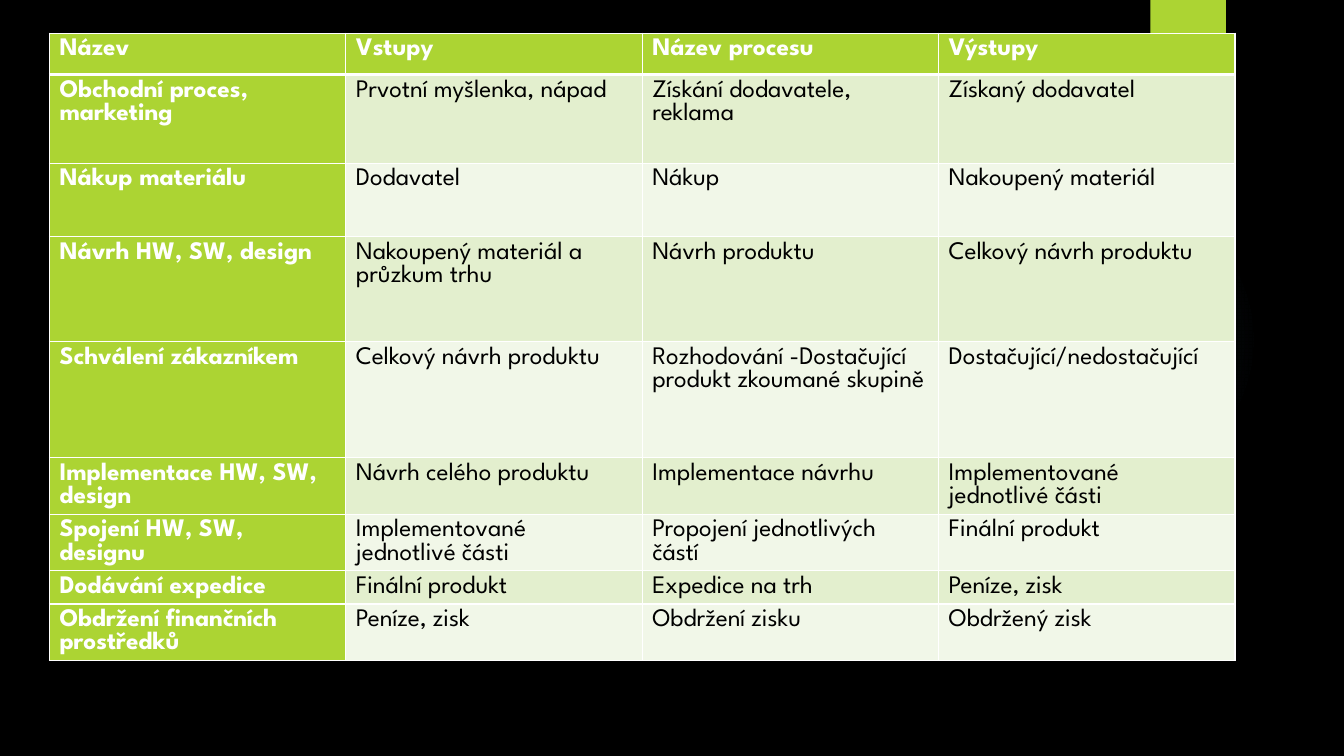
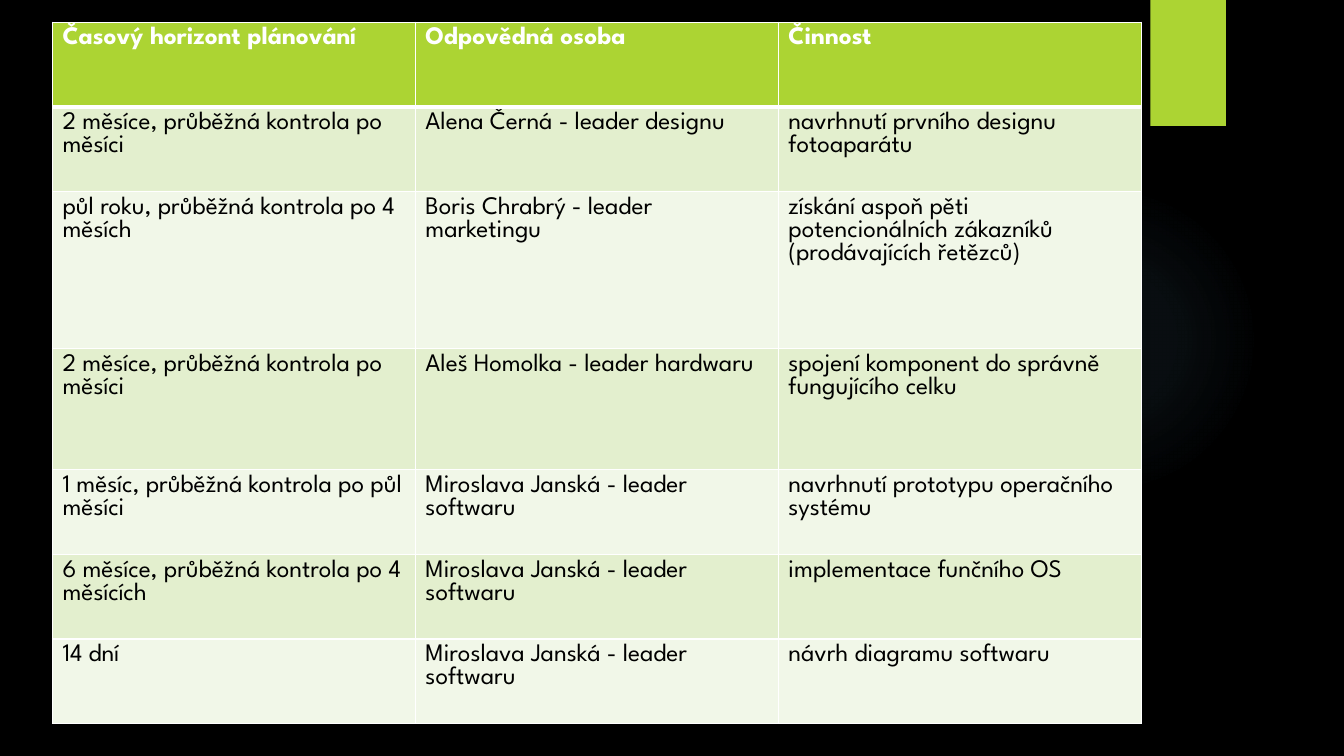
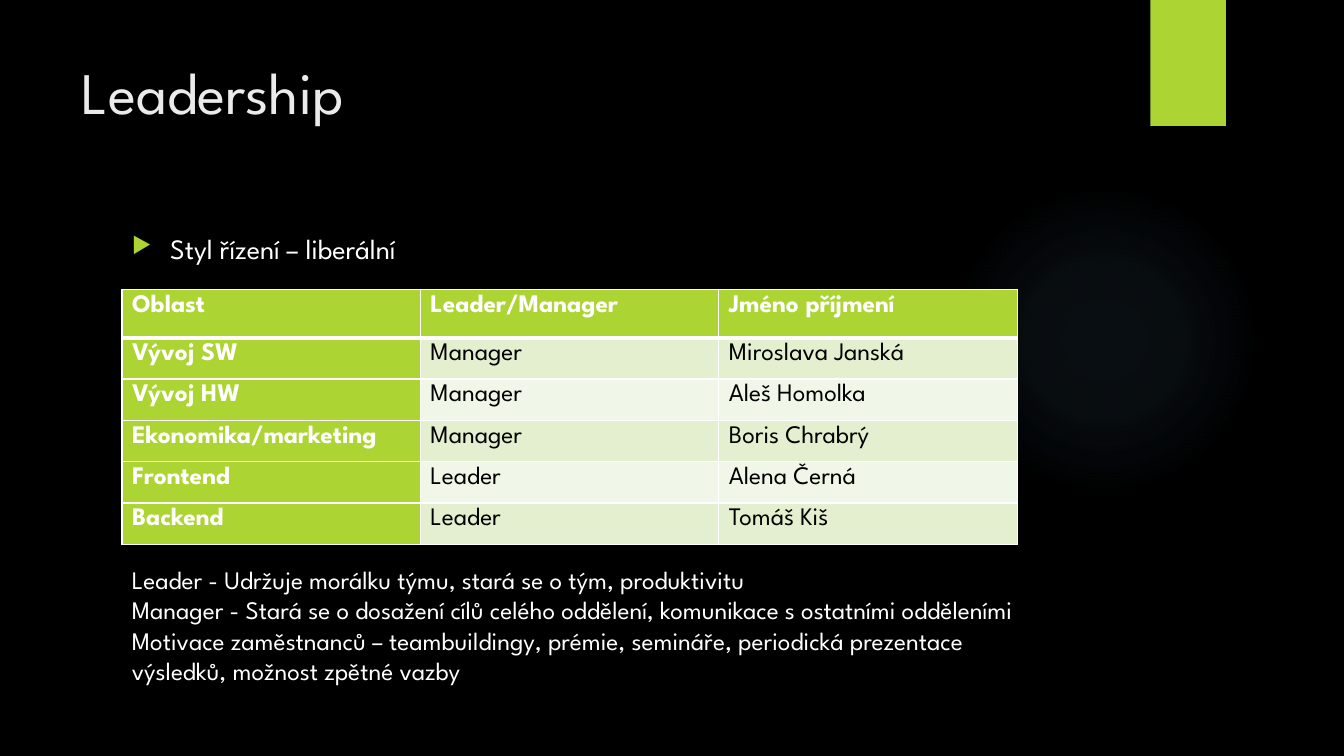
import pptx
import pptx.util
import pptx.dml.color
import pptx.enum.shapes
import pptx.enum.text
import pptx.oxml
import pptx.oxml.ns

Inches = pptx.util.Inches
Pt = pptx.util.Pt
RGBColor = pptx.dml.color.RGBColor

BLACK = RGBColor(0x00, 0x00, 0x00)
WHITE = RGBColor(0xFF, 0xFF, 0xFF)
TITLE_GRAY = RGBColor(0xEB, 0xEB, 0xEB)
LIME = RGBColor(0xAC, 0xD4, 0x33)
LIME_BAND = RGBColor(0xE3, 0xEF, 0xCE)
LIME_PALE = RGBColor(0xF1, 0xF7, 0xE8)
GLOW_BLUE = RGBColor(0x7A, 0xC4, 0xF0)
FONT = "League Spartan"
NAMESPACE = pptx.oxml.ns.nsdecls("a")
SHAPES = pptx.enum.shapes.MSO_SHAPE

GLOW_STOPS = "".join(
    f'<a:gs pos="{position}000"><a:srgbClr val="{GLOW_BLUE}"><a:alpha val="{alpha}000"/></a:srgbClr></a:gs>'
    for position, alpha in [(0, 7), (36, 6), (69, 0)]
)
GLOW_FILL = (
    f'<a:gradFill {NAMESPACE} rotWithShape="1"><a:gsLst>{GLOW_STOPS}</a:gsLst>'
    '<a:path path="circle"><a:fillToRect l="50000" t="50000" r="50000" b="50000"/></a:path></a:gradFill>'
)

process_rows = [
    ["Název", "Vstupy", "Název procesu", "Výstupy"],
    ["Obchodní proces, marketing", "Prvotní myšlenka, nápad", "Získání dodavatele, reklama", "Získaný dodavatel"],
    ["Nákup materiálu", "Dodavatel", "Nákup", "Nakoupený materiál"],
    ["Návrh HW, SW, design", "Nakoupený materiál a průzkum trhu", "Návrh produktu", "Celkový návrh produktu"],
    ["Schválení zákazníkem", "Celkový návrh produktu", "Rozhodování -Dostačující produkt zkoumané skupině",
     "Dostačující/nedostačující"],
    ["Implementace HW, SW, design", "Návrh celého produktu", "Implementace návrhu",
     "Implementované jednotlivé části"],
    ["Spojení HW, SW, designu", "Implementované jednotlivé části", "Propojení jednotlivých částí",
     "Finální produkt"],
    ["Dodávání expedice", "Finální produkt", "Expedice na trh", "Peníze, zisk"],
    ["Obdržení finančních prostředků", "Peníze, zisk", "Obdržení zisku", "Obdržený zisk"],
]
schedule_rows = [
    ["Časový horizont plánování", "Odpovědná osoba", "Činnost"],
    ["2 měsíce, průběžná kontrola po měsíci", "Alena Černá - leader designu",
     "navrhnutí prvního designu fotoaparátu"],
    ["půl roku, průběžná kontrola po 4 měsích", "Boris Chrabrý - leader marketingu",
     "získání aspoň pěti potencionálních zákazníků (prodávajících řetězců)"],
    ["2 měsíce, průběžná kontrola po měsíci", "Aleš Homolka - leader hardwaru",
     "spojení komponent do správně fungujícího celku"],
    ["1 měsíc, průběžná kontrola po půl měsíci", "Miroslava Janská - leader softwaru",
     "navrhnutí prototypu operačního systému"],
    ["6 měsíce, průběžná kontrola po 4 měsících", "Miroslava Janská - leader softwaru",
     "implementace funčního OS"],
    ["14 dní", "Miroslava Janská - leader softwaru", "návrh diagramu softwaru"],
]
leadership_rows = [
    ["Oblast", "Leader/Manager", "Jméno příjmení"],
    ["Vývoj SW", "Manager", "Miroslava Janská"],
    ["Vývoj HW", "Manager", "Aleš Homolka"],
    ["Ekonomika/marketing", "Manager", "Boris Chrabrý"],
    ["Frontend", "Leader", "Alena Černá"],
    ["Backend", "Leader", "Tomáš Kiš"],
]
tables = [
    {"rows": process_rows, "left": 0.49, "top": 0.33, "column": 2.94, "first_column": True,
     "heights": [0.41, 0.88, 0.73, 1.04, 1.15, 0.56, 0.56, 0.33, 0.56]},
    {"rows": schedule_rows, "left": 0.52, "top": 0.22, "column": 3.6, "first_column": False,
     "heights": [0.84, 0.84, 1.56, 1.2, 0.84, 0.84, 0.84]},
    {"rows": leadership_rows, "left": 1.21, "top": 2.87, "column": 2.96, "first_column": True,
     "heights": [0.48] + [0.41] * 5},
]


def set_font(paragraph, size, color, bold=False):
    font = paragraph.font
    for name, value in {"name": FONT, "size": Pt(size), "bold": bold}.items():
        setattr(font, name, value)
    font.color.rgb = color


def add_text(slide, box, lines, size, color):
    text_box = slide.shapes.add_textbox(*[Inches(length) for length in box])
    frame = text_box.text_frame
    frame.word_wrap = True
    frame.text = "\n".join(lines)
    for paragraph in frame.paragraphs:
        set_font(paragraph, size, color)
        paragraph.line_spacing = Pt(size * 1.2)
    return frame


presentation = pptx.Presentation()
presentation.slide_width = Inches(13.33)
presentation.slide_height = Inches(7.5)
background = presentation.slide_master.background.fill
background.solid()
background.fore_color.rgb = BLACK

for layout in tables:
    slide = presentation.slides.add_slide(presentation.slide_layouts[6])
    glow = slide.shapes.add_shape(SHAPES.OVAL, Inches(9.41), Inches(1.83), Inches(3.08), Inches(3.08))
    glow.element.spPr.find(pptx.oxml.ns.qn("a:prstGeom")).addnext(pptx.oxml.parse_xml(GLOW_FILL))
    tab = slide.shapes.add_shape(SHAPES.RECTANGLE, Inches(11.41), 0, Inches(0.75), Inches(1.25))
    tab.fill.solid()
    tab.fill.fore_color.rgb = LIME
    for shape in (glow, tab):
        shape.shadow.inherit = False
        shape.line.fill.background()

    rows = layout["rows"]
    columns = len(rows[0])
    table = slide.shapes.add_table(
        len(rows), columns, Inches(layout["left"]), Inches(layout["top"]),
        Inches(layout["column"] * columns), Inches(sum(layout["heights"])),
    ).table
    table.first_col = layout["first_column"]
    for column in table.columns:
        column.width = Inches(layout["column"])
    for row_index, texts in enumerate(rows):
        table.rows[row_index].height = Inches(layout["heights"][row_index])
        for column_index, text in enumerate(texts):
            cell = table.cell(row_index, column_index)
            cell.text = text
            heading = row_index == 0 or (layout["first_column"] and column_index == 0)
            set_font(cell.text_frame.paragraphs[0], 18, WHITE if heading else BLACK, heading)
            border_widths = {"L": 1, "R": 1, "T": 3 if row_index == 1 else 1, "B": 3 if row_index == 0 else 1}
            properties = cell._tc.get_or_add_tcPr()
            for side, width in border_widths.items():
                properties.append(pptx.oxml.parse_xml(
                    f'<a:ln{side} {NAMESPACE} w="{Pt(width)}"><a:solidFill>'
                    f'<a:srgbClr val="{WHITE}"/></a:solidFill></a:ln{side}>'
                ))
            cell.fill.solid()
            band = LIME_BAND if row_index % 2 else LIME_PALE
            cell.fill.fore_color.rgb = LIME if heading else band

add_text(slide, (0.71, 0.5, 10.29, 1.53), ["Leadership"], 42, TITLE_GRAY)
style_frame = add_text(slide, (1.21, 2.25, 9.78, 0.5), ["Styl řízení – liberální"], 20, WHITE)
bullet_properties = style_frame.paragraphs[0]._p.get_or_add_pPr()
for name, value in {"marL": Inches(0.38), "indent": -Inches(0.38)}.items():
    bullet_properties.set(name, str(value))
bullet_parts = [
    f'<a:buClr {NAMESPACE}><a:srgbClr val="{LIME}"/></a:buClr>',
    f'<a:buSzPct {NAMESPACE} val="80000"/>',
    f'<a:buChar {NAMESPACE} char="▶"/>',
]
default_run = bullet_properties.find(pptx.oxml.ns.qn("a:defRPr"))
for part in bullet_parts:
    default_run.addprevious(pptx.oxml.parse_xml(part))
add_text(slide, (1.21, 5.55, 9.33, 1.62), [
    "Leader - Udržuje morálku týmu, stará se o tým, produktivitu",
    "Manager - Stará se o dosažení cílů celého oddělení, komunikace s ostatními odděleními",
    "Motivace zaměstnanců – teambuildingy, prémie, semináře, periodická prezentace výsledků, možnost zpětné vazby",
], 18, WHITE)

presentation.save("out.pptx")
